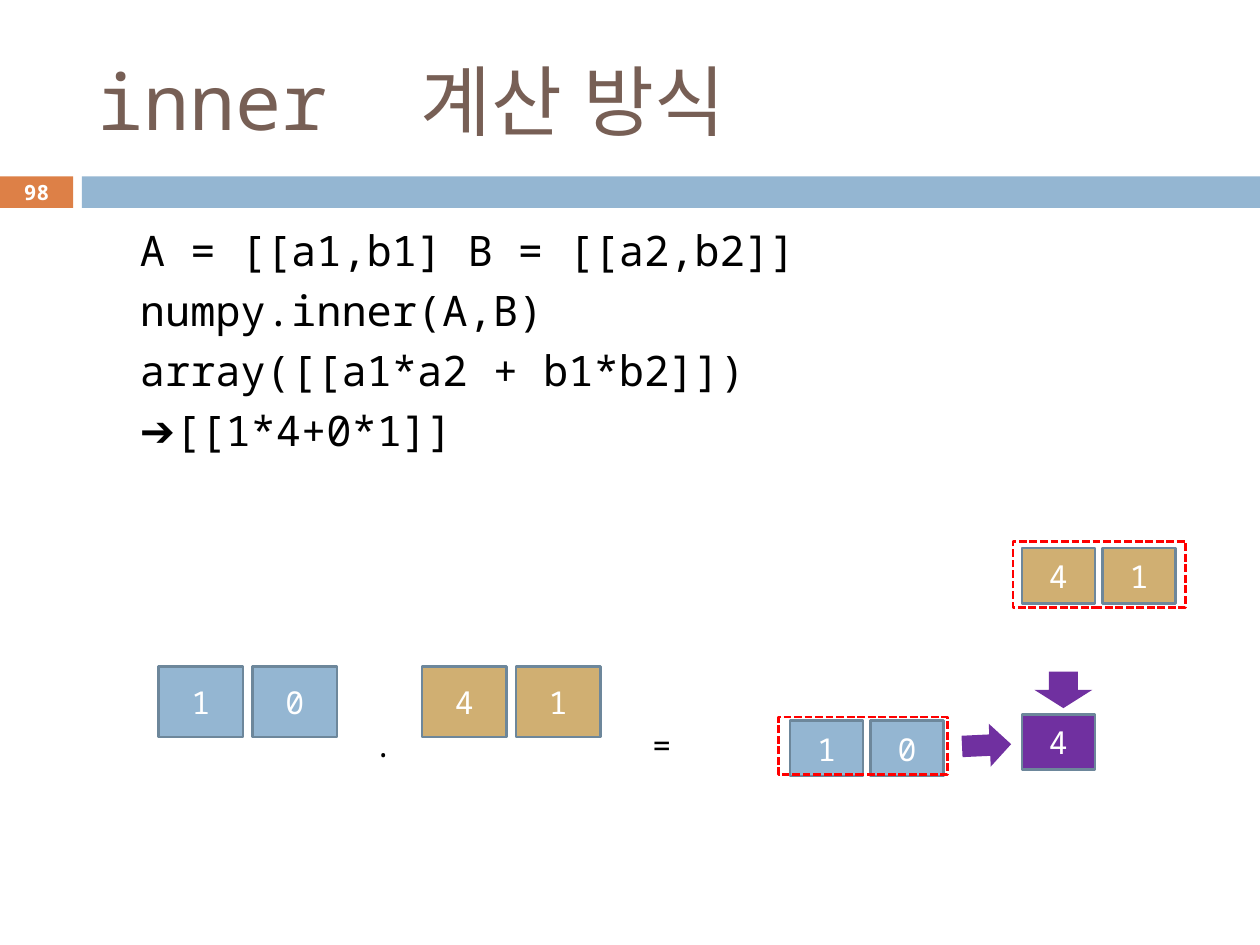
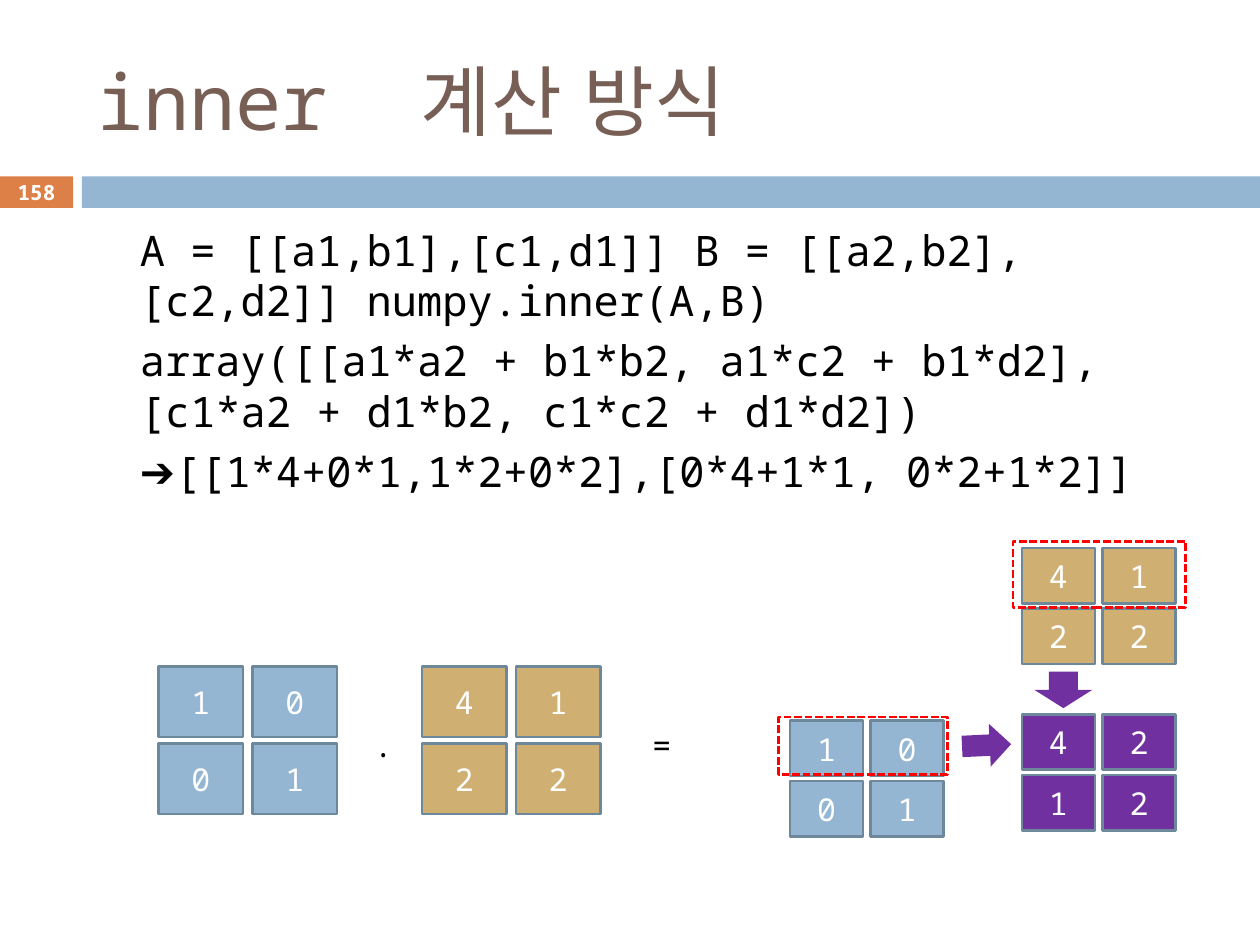
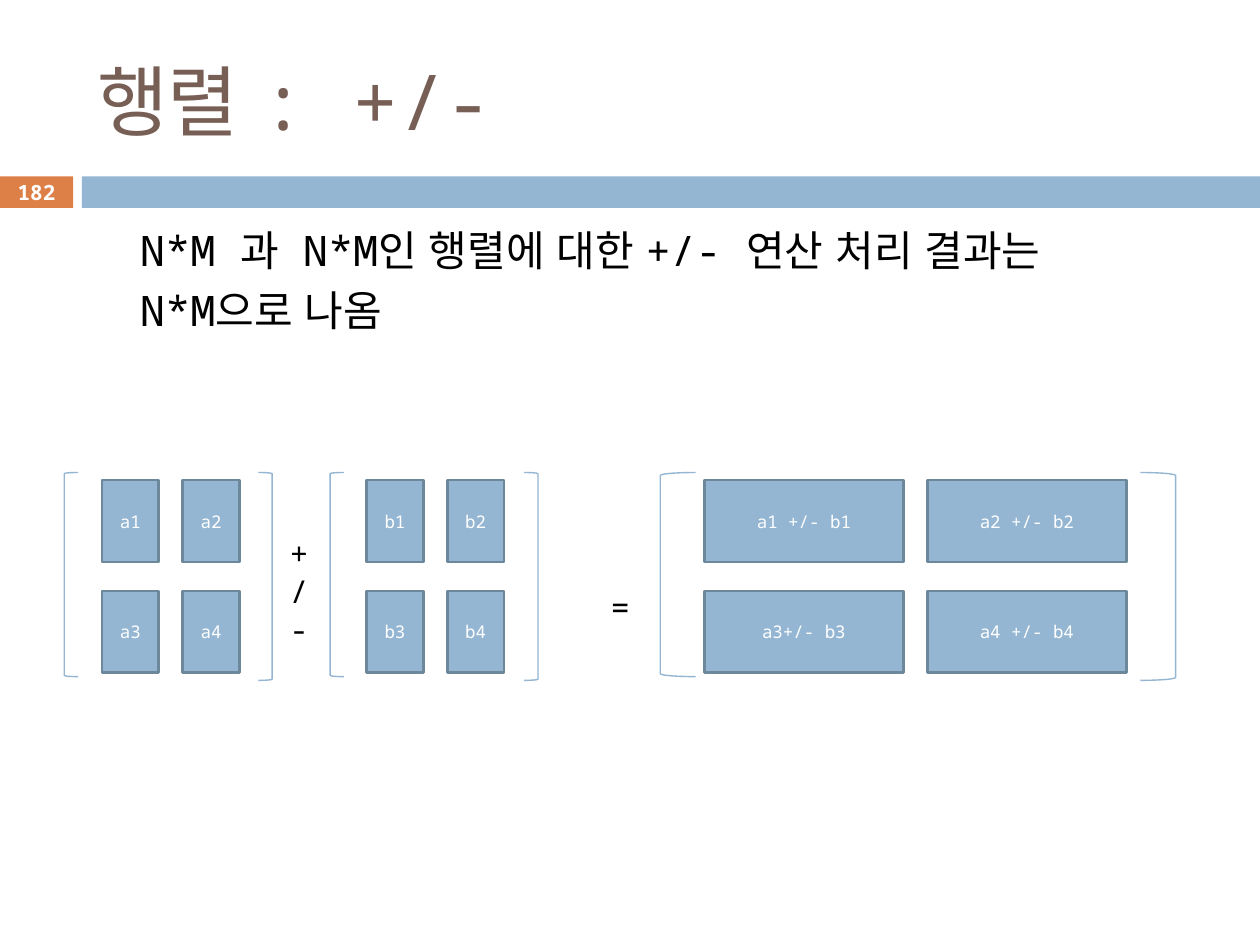
from dataclasses import dataclass
from typing import NamedTuple, Optional

from lxml import etree
from pptx import Presentation
from pptx import util as u
from pptx.dml.color import RGBColor
from pptx.enum import dml, lang, shapes, text
from pptx.oxml import ns

# Grid: 100 columns by 75 rows of square units
COLS, ROWS = 100, 75
UNIT = u.Inches(0.1)

FONT = "Noto Sans Mono"
BLUE = RGBColor(0x94, 0xB6, 0xD2)
GOLD = RGBColor(0xD0, 0xAF, 0x72)
PURPLE = RGBColor(0x70, 0x30, 0xA0)
ORANGE = RGBColor(0xDD, 0x80, 0x47)
BROWN = RGBColor(0x77, 0x5F, 0x55)
EDGE = RGBColor(0x6D, 0x87, 0x9B)
RED = RGBColor(0xFF, 0x00, 0x00)
WHITE = RGBColor(0xFF, 0xFF, 0xFF)
BLACK = RGBColor(0x00, 0x00, 0x00)

SHAPE = shapes.MSO_SHAPE
LEFT, CENTER = text.PP_ALIGN.LEFT, text.PP_ALIGN.CENTER


class Box(NamedTuple):
    """Left, top, width and height in grid units."""
    x: float
    y: float
    w: float
    h: float

    def emu(self) -> list[int]:
        return [round(v * UNIT) for v in self]


@dataclass(frozen=True)
class Matrix:
    """First cell, distance between cells, and look of a grid of cells."""
    cell: Box
    dx: float
    dy: float
    fill: RGBColor
    size: int = 18


TITLE = Box(6.7, 2.5, 89.2, 10.8)
BODY = Box(5.1, 17.3, 90, 26.4)
NUMBER_BAND = Box(0, 14, 5.8, 2.5)
TITLE_BAND = Box(6.5, 14, 93.5, 2.5)
NUMBER = Box(0, 13.9, 5.8, 2.7)

# Matrices of the inner product slides
FACTOR_A = Matrix(Box(12.6, 52.9, 6.7, 5.6), 7.45, 6.1, BLUE)
FACTOR_B = Matrix(Box(33.5, 52.9, 6.7, 5.6), 7.45, 6.1, GOLD)
ROW_SIDE = Matrix(Box(62.7, 57.2, 5.8, 4.4), 6.4, 4.8, BLUE)
COLUMN_SIDE = Matrix(Box(81.1, 43.5, 5.8, 4.4), 6.4, 4.8, GOLD)
RESULT = Matrix(Box(81.1, 56.7, 5.8, 4.4), 6.4, 4.8, PURPLE)


def add_run(p, words: str, size: float, color: RGBColor, bold: bool = False) -> None:
    r = p.add_run()
    r.text = words
    r.font.name, r.font.size, r.font.bold = FONT, u.Pt(size), bold
    r.font.color.rgb = color
    r.font.language_id = lang.MSO_LANGUAGE_ID.KOREAN


def add_shape(parent, kind, box: Box, fill: Optional[RGBColor] = None,
              line: Optional[RGBColor] = None, width: float = 1.5):
    sp = parent.shapes.add_shape(kind, *box.emu())
    sp.shadow.inherit = False
    if fill is None:
        sp.fill.background()
    else:
        sp.fill.solid()
        sp.fill.fore_color.rgb = fill
    if line is None:
        sp.line.fill.background()
    else:
        sp.line.color.rgb, sp.line.width = line, u.Pt(width)
    return sp


def center_text(sp, words: str, size: float, color: RGBColor, bold: bool = False) -> None:
    tf = sp.text_frame
    tf.word_wrap = True
    tf.margin_left = tf.margin_right = tf.margin_top = tf.margin_bottom = 0
    tf.vertical_anchor = text.MSO_ANCHOR.MIDDLE
    p = tf.paragraphs[0]
    p.alignment = CENTER
    add_run(p, words, size, color, bold)


def add_sign(s, sign: str, box: Box) -> None:
    tf = s.shapes.add_textbox(*box.emu()).text_frame
    tf.word_wrap = True
    add_run(tf.paragraphs[0], sign, 18, BLACK)


def add_matrix(s, m: Matrix, rows: list[list[str]]):
    group = s.shapes.add_group_shape()
    for i, row in enumerate(rows):
        for j, value in enumerate(row):
            box = m.cell._replace(x=m.cell.x + j * m.dx, y=m.cell.y + i * m.dy)
            center_text(add_shape(group, SHAPE.RECTANGLE, box, m.fill, EDGE),
                        value, m.size, WHITE)
    return group


def place(ph, box: Box):
    ph.left, ph.top, ph.width, ph.height = box.emu()
    tf = ph.text_frame
    tf.auto_size = text.MSO_AUTO_SIZE.NONE
    return tf


def add_slide(prs, title: str, lines: list[str], number: int):
    s = prs.slides.add_slide(prs.slide_layouts[1])
    # Bands and page number
    add_shape(s, SHAPE.RECTANGLE, NUMBER_BAND, ORANGE)
    add_shape(s, SHAPE.RECTANGLE, TITLE_BAND, BLUE)
    center_text(s.shapes.add_textbox(*NUMBER.emu()), str(number), 12, WHITE, True)
    # Title
    tf = place(s.shapes.title, TITLE)
    tf.vertical_anchor = text.MSO_ANCHOR.MIDDLE
    tf.paragraphs[0].alignment = LEFT
    add_run(tf.paragraphs[0], title, 44, BROWN)
    # Body lines, indented without bullets
    tf = place(s.placeholders[1], BODY)
    for i, words in enumerate(lines):
        p = tf.add_paragraph() if i else tf.paragraphs[0]
        p.level = 1
        pPr = p._p.get_or_add_pPr()
        pPr.set("marL", str(5 * UNIT))
        pPr.set("indent", "0")
        etree.SubElement(pPr, ns.qn("a:buNone"))
        p.space_before = u.Pt(5.5 if i else 0)
        add_run(p, words, 24, BLACK)
    return s


def inner_slide(prs, lines: list[str], number: int, a: list[list[str]],
                b: list[list[str]], product: list[list[str]]) -> None:
    s = add_slide(prs, "inner  계산 방식", lines, number)
    for m, rows in ((FACTOR_A, a), (FACTOR_B, b), (ROW_SIDE, a),
                    (COLUMN_SIDE, b), (RESULT, product)):
        add_matrix(s, m, rows)
    # Dashed frames around the rows being multiplied
    for box in (Box(61.8, 56.9, 13.4, 4.6), Box(80.4, 43, 13.7, 5.2)):
        frame = add_shape(s, SHAPE.RECTANGLE, box, line=RED)
        frame.line.dash_style = dml.MSO_LINE.SQUARE_DOT
    # Arrows towards the result
    for box, turn in ((Box(82.1, 53.3, 4.6, 2.9), 0), (Box(76.6, 57.2, 3.4, 3.9), 267.3)):
        add_shape(s, SHAPE.DOWN_ARROW, box, PURPLE).rotation = turn
    for sign, x in (("=", 50.8), (".", 28.7)):
        add_sign(s, sign, Box(x, 57.1, 2.4, 3.3))


def sum_slide(prs) -> None:
    s = add_slide(prs, "행렬 : +/-", ["N*M 과  N*M인 행렬에 대한 +/- 연산 처리 결과는",
                                    "N*M으로 나옴"], 182)
    # Left bracket, first cell, cell width, cell distance, right bracket, bracket width
    for left, x, w, dx, right, bracket, rows in (
            (5.1, 8.1, 4.5, 6.4, 20.5, 1.1, [["a1", "a2"], ["a3", "a4"]]),
            (26.2, 29.1, 4.5, 6.4, 41.6, 1.1, [["b1", "b2"], ["b3", "b4"]]),
            (52.4, 55.9, 15.8, 17.7, 90.5, 2.8,
             [["a1 +/- b1", "a2 +/- b2"], ["a3+/- b3", "a4 +/- b4"]])):
        group = add_matrix(s, Matrix(Box(x, 38.1, w, 6.5), dx, 8.8, BLUE, 10), rows)
        for kind, edge, h in ((SHAPE.LEFT_BRACKET, left, 16.2),
                              (SHAPE.RIGHT_BRACKET, right, 16.5)):
            add_shape(group, kind, Box(edge, 37.5, bracket, h), line=BLUE, width=0.8)
    add_sign(s, "=", Box(47.5, 46.2, 4.7, 4))
    add_sign(s, "+/-", Box(22, 41.9, 4.7, 10.1))


def main() -> None:
    prs = Presentation()
    prs.slide_width, prs.slide_height = COLS * UNIT, ROWS * UNIT
    inner_slide(prs, ["A = [[a1,b1] B = [[a2,b2]]", "numpy.inner(A,B)",
                      "array([[a1*a2 + b1*b2]])", "➔[[1*4+0*1]]"], 98,
                [["1", "0"]], [["4", "1"]], [["4"]])
    inner_slide(prs, ["A = [[a1,b1],[c1,d1]] B = [[a2,b2],[c2,d2]] numpy.inner(A,B)",
                      "array([[a1*a2 + b1*b2, a1*c2 + b1*d2], [c1*a2 + d1*b2, c1*c2 + d1*d2])",
                      "➔[[1*4+0*1,1*2+0*2],[0*4+1*1, 0*2+1*2]]"], 158,
                [["1", "0"], ["0", "1"]], [["4", "1"], ["2", "2"]],
                [["4", "2"], ["1", "2"]])
    sum_slide(prs)
    prs.save("out.pptx")


if __name__ == "__main__":
    main()
